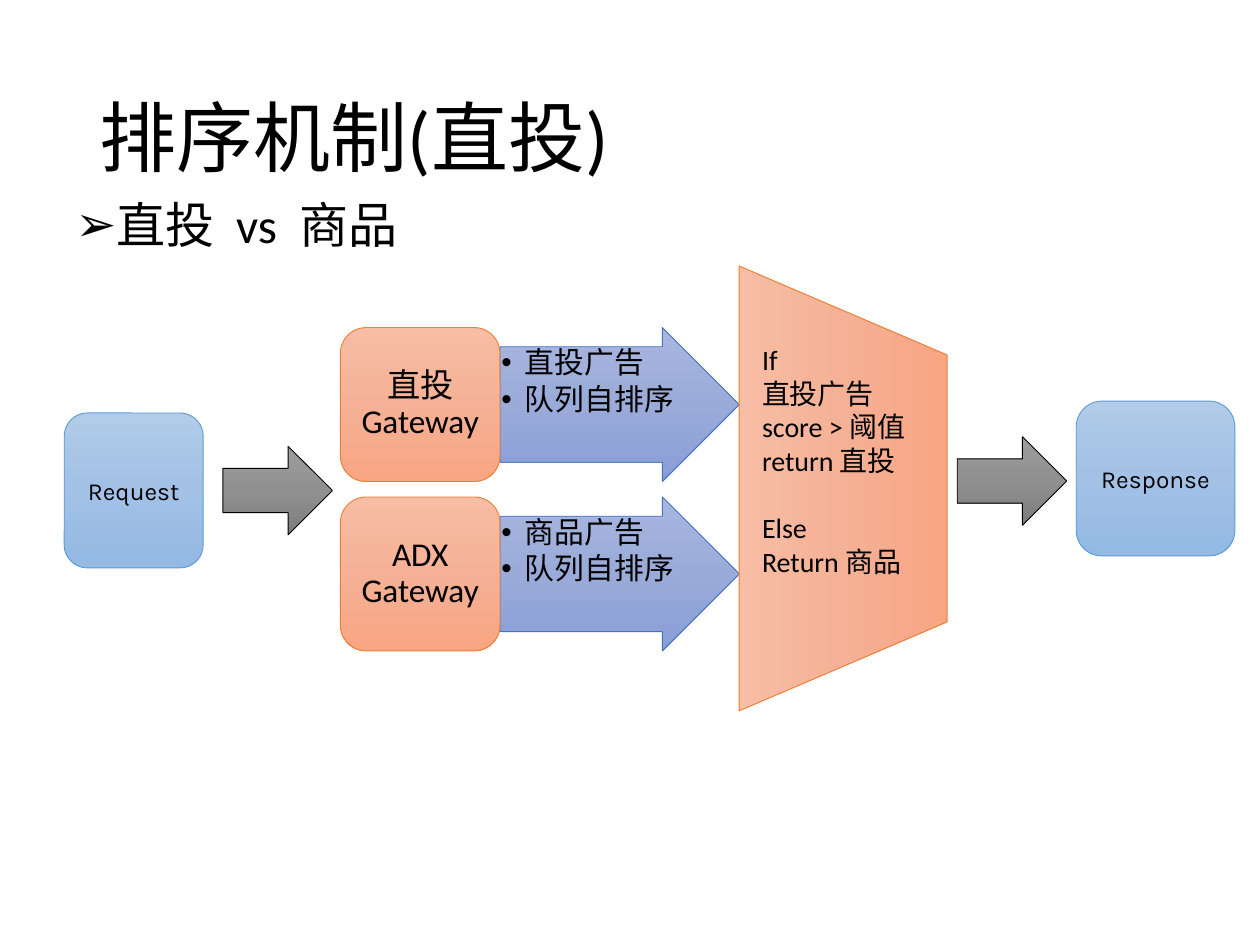
from copy import deepcopy

from lxml import etree
from pptx import Presentation
from pptx.dml.color import RGBColor
from pptx.enum.shapes import MSO_SHAPE
from pptx.enum.text import MSO_ANCHOR, PP_ALIGN
from pptx.oxml.ns import qn
from pptx.util import Pt

ARROW = MSO_SHAPE.RIGHT_ARROW
ROUND = MSO_SHAPE.ROUNDED_RECTANGLE
FUNNEL = MSO_SHAPE.FLOWCHART_MANUAL_OPERATION
TOP, MIDDLE = MSO_ANCHOR.TOP, MSO_ANCHOR.MIDDLE
LEFT, CENTER = PP_ALIGN.LEFT, PP_ALIGN.CENTER

COLORS = {
    "text": "000000",
    "blue": ("B1CBE9", "A3C1E5", "93B9E4", "5B9BD5"),
    "indigo": ("A8B7DF", "9AABD9", "889ED7", "4472C4"),
    "orange": ("F7BDA5", "F5B196", "F8A582", "ED7D31"),
    "gray": ("9D9D9D", "909090", "7C7C7C", "000000"),
}


def rgb(code):
    """Turn a hex string into a colour."""
    return RGBColor.from_string(code)


def add_block(slide, kind, box, tone):
    """Add a preset shape with a three-stop gradient and a thin line."""
    shape = slide.shapes.add_shape(kind, *map(Pt, box))
    shape.shadow.inherit = False
    *stops, edge = COLORS[tone]
    shape.fill.gradient()
    shape.fill.gradient_angle = 270
    ramp = shape._element.spPr.find(".//" + qn("a:gsLst"))
    ramp.insert(1, deepcopy(ramp[0]))
    ramp[1].set("pos", "50000")
    for stop, code in zip(shape.fill.gradient_stops, stops):
        stop.color.rgb = rgb(code)
    shape.line.color.rgb = rgb(edge)
    shape.line.width = Pt(0.5)
    return shape


def write(shape, lines, size, font="Calibri", align=LEFT, anchor=TOP,
          pad=(7.2, 3.6), space=1, after=0):
    """Write the lines as paragraphs of one style and return them."""
    frame = shape.text_frame
    frame.text = "\n".join(lines)
    frame.word_wrap = True
    frame.vertical_anchor = anchor
    frame.margin_left = frame.margin_right = Pt(pad[0])
    frame.margin_top = frame.margin_bottom = Pt(pad[1])
    for para in frame.paragraphs:
        para.alignment = align
        para.line_spacing = space
        para.space_after = Pt(after)
        for run in para.runs:
            run.font.size = Pt(size)
            run.font.name = font
            run.font.color.rgb = rgb(COLORS["text"])
    return frame.paragraphs


def add_text(slide, box, lines, size, **style):
    """Add a text box and return its paragraphs."""
    return write(slide.shapes.add_textbox(*map(Pt, box)), lines, size, **style)


def add_bullet(para, mark, indent):
    """Give a paragraph a hanging bullet."""
    props = para._p.get_or_add_pPr()
    props.set("marL", str(Pt(indent)))
    props.set("indent", str(-Pt(indent)))
    etree.SubElement(props, qn("a:buFont")).set("typeface", "Arial")
    etree.SubElement(props, qn("a:buChar")).set("char", mark)


def add_head(slide, left, top):
    """Add the title and the topic line below it."""
    add_text(slide, (left + 13.7, top, 620.6, 104.4), ["排序机制(直投)"], 44,
             anchor=MIDDLE, space=0.9)
    topic = add_text(slide, (left, top + 82.8, 648, 40), ["直投  vs  商品"], 28,
                     space=0.9)
    add_bullet(topic[0], "➢", 18)


def add_lane(slide, left, top, name, items):
    """Add a gateway and the arrow that lists its steps."""
    wide, high = 91.2, 88
    arrow = add_block(slide, ARROW, (left + wide, top, 136.8, high), "indigo")
    arrow.adjustments[0] = 0.75
    for para in write(arrow, items, 17, pad=(0.8, 0.8), space=0.9, after=2.5):
        add_bullet(para, "•", 13.5)
    gate = add_block(slide, ROUND, (left, top, wide, high), "orange")
    write(gate, [name], 19, align=CENTER, anchor=MIDDLE, pad=(5.6, 2.8),
          space=0.9)


def add_rule(slide, left, top, wide, high):
    """Add the funnel, turned on its side, with the selection rule."""
    box = (left + (wide - high) / 2, top + (high - wide) / 2, high, wide)
    add_block(slide, FUNNEL, box, "orange").rotation = 270
    lines = ["If", "直投广告", "score > 阈值 return 直投", "Else", "Return 商品"]
    paras = add_text(slide, (left + 6, top + 40.2, 124.6, 143.3), lines, 16)
    paras[3].space_before = Pt(19.2)


def add_end(slide, box, name):
    """Add a rounded end point of the flow."""
    write(add_block(slide, ROUND, box, "blue"), [name], 14, font="Karla",
          align=CENTER, anchor=MIDDLE)


def main():
    """Build the slide and save it."""
    deck = Presentation()
    deck.slide_width, deck.slide_height = Pt(720), Pt(540)
    slide = deck.slides.add_slide(deck.slide_layouts[6])
    add_head(slide, 36, 28.8)
    lanes = (("直投 Gateway", "直投广告"), ("ADX Gateway", "商品广告"))
    for row, (name, item) in enumerate(lanes):
        add_lane(slide, 194.5, 187.2 + row * 96.8, name, [item, "队列自排序"])
    add_end(slide, (36.7, 236, 79.4, 88.5), "Request")
    add_rule(slide, 422.4, 152, 118.8, 254.2)
    add_end(slide, (615, 229.2, 90.7, 88.5), "Response")
    for left, top in ((547, 249.6), (127.4, 255)):
        add_block(slide, ARROW, (left, top, 62.6, 50.6), "gray")
    deck.save("out.pptx")


if __name__ == "__main__":
    main()
